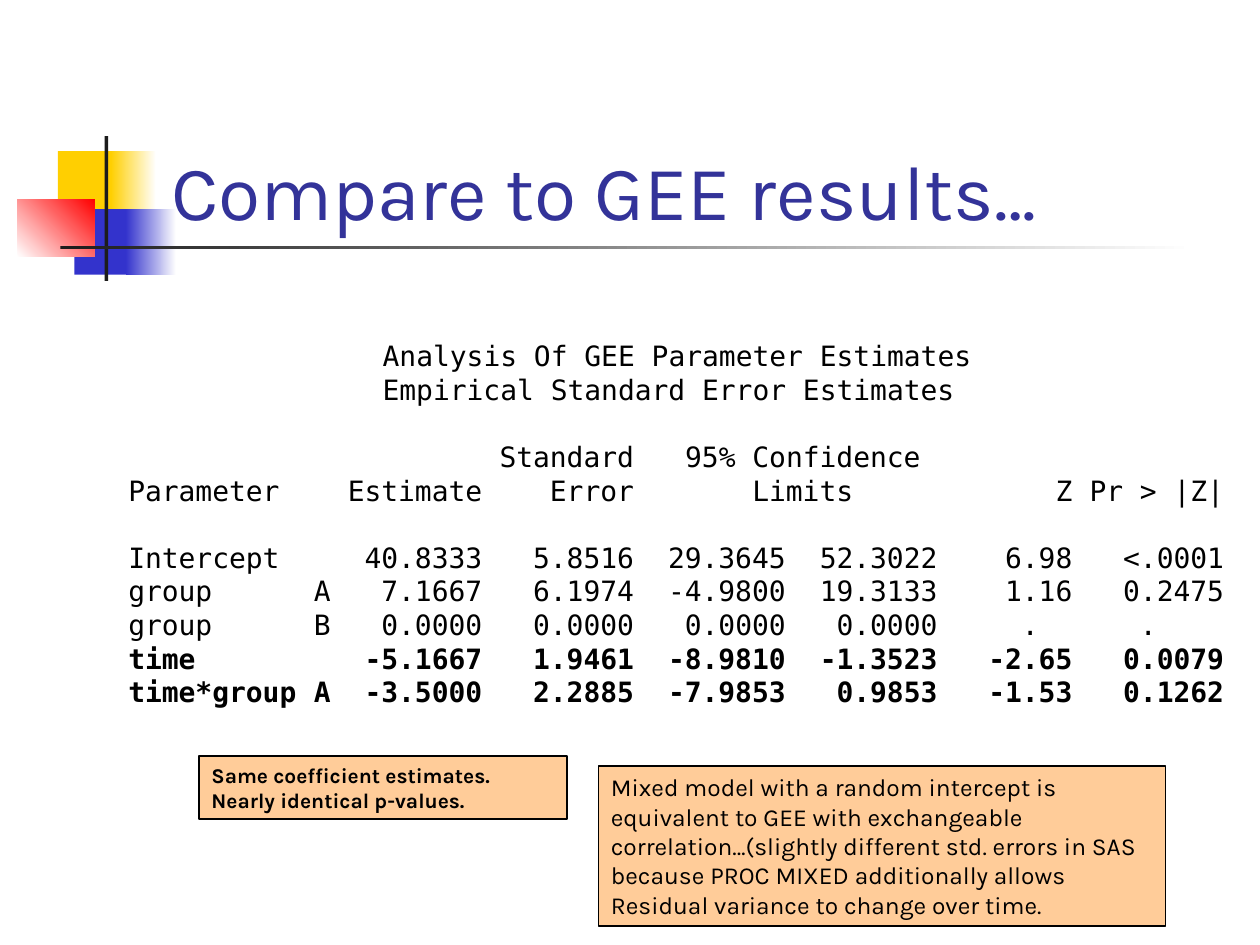
from lxml import etree
from pptx import Presentation
from pptx import util as u
from pptx.dml import color
from pptx.enum import shapes, text
from pptx.oxml import ns

CHAR = 0.1338
PITCH = 19.2


def rgb(code):
    return color.RGBColor.from_string(code)


def apply(target, values):
    for name, value in values.items():
        setattr(target, name, value)


class Deck:
    sans = "Karla"
    mono = "DejaVu Sans Mono"
    ink = "000000"
    peach = "FFCC99"
    frame = {
        "word_wrap": True,
        "auto_size": text.MSO_AUTO_SIZE.NONE,
        "margin_left": u.Inches(0.1),
        "margin_right": u.Inches(0.1),
        "margin_top": u.Inches(0.05),
        "margin_bottom": u.Inches(0.05),
    }

    def __init__(self):
        self.prs = Presentation()
        apply(self.prs, {"slide_width": u.Inches(10), "slide_height": u.Inches(7.5)})
        self.slide = self.prs.slides.add_slide(self.prs.slide_layouts[5])

    def label(self, para, words, size, face, code, bold=False):
        run = para.add_run()
        run.text = words
        apply(run.font, {"size": u.Pt(size), "name": face, "bold": bold})
        run.font.color.rgb = rgb(code)
        para.alignment = text.PP_ALIGN.LEFT

    def title(self, words, box):
        shape = self.slide.shapes.title
        apply(shape, dict(zip(("left", "top", "width", "height"), map(u.Inches, box))))
        apply(shape.text_frame, self.frame)
        shape.text_frame.vertical_anchor = text.MSO_ANCHOR.BOTTOM
        self.label(shape.text_frame.paragraphs[0], words, 44, self.sans, "333399")

    def block(self, box, *codes, angle=0):
        shape = self.slide.shapes.add_shape(
            shapes.MSO_SHAPE.RECTANGLE, *map(u.Inches, box))
        shape.shadow.inherit = False
        shape.line.fill.background()
        if len(codes) == 1:
            shape.fill.solid()
            shape.fill.fore_color.rgb = rgb(codes[0])
        else:
            shape.fill.gradient()
            shape.fill.gradient_angle = angle
            for stop, code in zip(shape.fill.gradient_stops, codes):
                stop.color.rgb = rgb(code)
        return shape

    def note(self, box, words, size, gap, bold=False):
        shape = self.block(box, self.peach)
        shape.line.color.rgb = rgb(self.ink)
        shape.line.width = u.Pt(0.75)
        apply(shape.text_frame, self.frame)
        shape.text_frame.vertical_anchor = text.MSO_ANCHOR.TOP
        para = shape.text_frame.paragraphs[0]
        para.space_before = u.Pt(gap)
        self.label(para, words, size, self.sans, self.ink, bold)

    def report(self, box, rows):
        shape = self.slide.shapes.add_textbox(*map(u.Inches, box))
        apply(shape.text_frame, self.frame)
        for at, (cells, stops, gap, bold) in enumerate(rows):
            body = shape.text_frame
            para = body.add_paragraph() if at else body.paragraphs[0]
            apply(para, {"line_spacing": u.Pt(PITCH), "space_before": u.Pt(gap)})
            self.label(para, "\t".join(cells), 16, self.mono, self.ink, bold)
            self.tabs(para, stops)

    def tabs(self, para, stops):
        props = para._p.get_or_add_pPr()
        group = etree.SubElement(props, ns.qn("a:tabLst"))
        for stop in stops:
            tab = etree.SubElement(group, ns.qn("a:tab"))
            tab.set("pos", str(u.Inches(stop * CHAR)))
            tab.set("algn", "r")


def main():
    deck = Deck()
    white, gold, blue, dark = "FFFFFF", "FFCF01", "3333CC", "1C1C1C"
    deck.block((0.46, 1.2, 0.48, 0.52), gold)
    deck.block((0.88, 1.2, 0.36, 0.52), gold, white)
    deck.block((0.59, 1.66, 0.46, 0.52), blue)
    deck.block((1, 1.66, 0.4, 0.52), blue, white)
    deck.block((0.14, 1.58, 0.61, 0.46), white, "FF0000", angle=45)
    deck.block((0.83, 1.08, 0.03, 1.15), dark)
    deck.block((0.48, 1.95, 9, 0.03), dark, white)
    deck.title("Compare to GEE results…", (1.26, 0.67, 8.52, 1.25))
    deck.note((1.58, 6, 2.92, 0.5),
              "Same coefficient estimates. Nearly identical p-values.", 12, 7.5, True)

    grid = (12, 21, 30, 39, 48, 56, 65)
    dots = grid[:5] + (54, 61)
    data = [
        ("Intercept", "", "40.8333", "5.8516", "29.3645", "52.3022", "6.98", "<.0001"),
        ("group", "A", "7.1667", "6.1974", "-4.9800", "19.3133", "1.16", "0.2475"),
        ("group", "B", "0.0000", "0.0000", "0.0000", "0.0000", ".", "."),
        ("time", "", "-5.1667", "1.9461", "-8.9810", "-1.3523", "-2.65", "0.0079"),
        ("time*group", "A", "-3.5000", "2.2885", "-7.9853", "0.9853", "-1.53", "0.1262"),
    ]
    rows = [
        (("", "Analysis Of GEE Parameter Estimates"), (50,), 0, False),
        (("", "Empirical Standard Error Estimates"), (49,), 0, False),
        (("", "Standard", "95% Confidence"), (30, 47), PITCH, False),
        (("Parameter", "Estimate", "Error", "Limits", "Z", "Pr > |Z|"),
         (21, 30, 43, 56, 65), 0, False),
    ]
    for cells in data:
        first = cells[0] == "Intercept"
        rows.append((cells, dots if cells[-1] == "." else grid,
                     PITCH if first else 0, cells[0].startswith("time")))
    deck.report((0.92, 2.64, 9, 3.03), rows)

    deck.note((4.75, 6.08, 4.5, 1.27),
              "Mixed model with a random intercept is equivalent to GEE with "
              "exchangeable correlation…(slightly different std. errors in SAS "
              "because PROC MIXED additionally allows Residual variance to "
              "change over time.", 14, 3.5)
    deck.prs.save("out.pptx")


if __name__ == "__main__":
    main()
